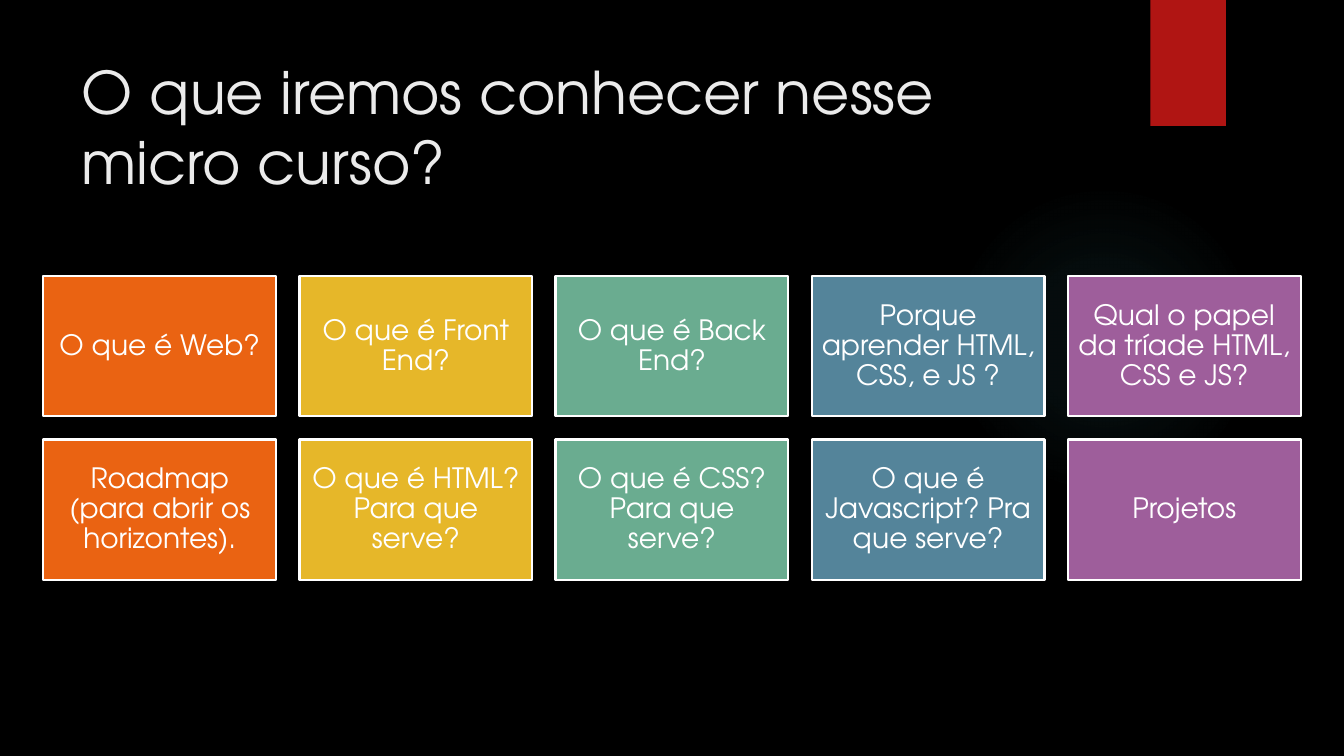
import pptx
import pptx.dml.color
import pptx.enum.shapes
import pptx.enum.text
import pptx.oxml
import pptx.oxml.ns
import pptx.util
from pptx.util import Inches

FONT = "TeX Gyre Adventor"
TILE_COLOURS = ["EA6312", "E6B729", "6AAC90", "54849A", "9E5E9B"]
TOPICS = [
    "O que é Web?",
    "O que é Front End?",
    "O que é Back End?",
    "Porque aprender HTML, CSS, e JS ?",
    "Qual o papel da tríade HTML, CSS e JS?",
    "Roadmap (para abrir os horizontes).",
    "O que é HTML? Para que serve?",
    "O que é CSS? Para que serve?",
    "O que é Javascript? Pra que serve?",
    "Projetos",
]


def colour(value):
    return pptx.dml.color.RGBColor.from_string(value)


def write_text(shape, text, *, size, ink, align, anchor, inset, spacing=None):
    frame = shape.text_frame
    frame.word_wrap = True
    frame.auto_size = pptx.enum.text.MSO_AUTO_SIZE.NONE
    frame.vertical_anchor = anchor
    frame.margin_left = frame.margin_right = Inches(inset[0])
    frame.margin_top = frame.margin_bottom = Inches(inset[1])
    para = frame.paragraphs[0]
    para.alignment = align
    para.line_spacing = spacing
    span = para.add_run()
    span.text = text
    span.font.name = FONT
    span.font.size = pptx.util.Pt(size)
    span.font.color.rgb = colour(ink)


class SlideBuilder:
    def __init__(self, slide, font_ink="FFFFFF"):
        self.slide = slide
        self.font_ink = font_ink

    def background(self, fill):
        self.slide.background.fill.solid()
        self.slide.background.fill.fore_color.rgb = colour(fill)

    def title(self, text, left, top, width, height):
        box = self.slide.shapes.title
        box.left, box.top = Inches(left), Inches(top)
        box.width, box.height = Inches(width), Inches(height)
        write_text(box, text, size=42, ink="EBEBEB",
                   align=pptx.enum.text.PP_ALIGN.LEFT,
                   anchor=pptx.enum.text.MSO_ANCHOR.TOP, inset=(0.1, 0.05))

    def shape(self, kind, left, top, width, height, fill=None):
        shape = self.slide.shapes.add_shape(
            kind, Inches(left), Inches(top), Inches(width), Inches(height))
        shape.shadow.inherit = False
        shape.line.fill.background()
        if fill:
            shape.fill.solid()
            shape.fill.fore_color.rgb = colour(fill)
        return shape

    def rectangle(self, left, top, width, height, fill):
        kind = pptx.enum.shapes.MSO_SHAPE.RECTANGLE
        return self.shape(kind, left, top, width, height, fill)

    def glow(self, left, top, diameter, tint, stops):
        kind = pptx.enum.shapes.MSO_SHAPE.OVAL
        shape = self.shape(kind, left, top, diameter, diameter)
        shape.fill.gradient()
        stop_xml = "".join(
            f'<a:gs pos="{position * 1000}"><a:srgbClr val="{tint}">'
            f'<a:alpha val="{alpha * 1000}"/></a:srgbClr></a:gs>'
            for position, alpha in stops)
        radial = pptx.oxml.parse_xml(
            f'<a:gradFill {pptx.oxml.ns.nsdecls("a")}><a:gsLst>{stop_xml}</a:gsLst>'
            '<a:path path="circle"><a:fillToRect l="50000" t="50000" '
            'r="50000" b="50000"/></a:path></a:gradFill>')
        properties = shape.element.spPr
        properties.replace(
            properties.find(pptx.oxml.ns.qn("a:gradFill")), radial)

    def tile(self, text, left, top, width, height, fill):
        box = self.rectangle(left, top, width, height, fill)
        box.line.color.rgb = colour("FFFFFF")
        box.line.width = pptx.util.Pt(1.5)
        write_text(box, text, size=20, ink=self.font_ink,
                   align=pptx.enum.text.PP_ALIGN.CENTER,
                   anchor=pptx.enum.text.MSO_ANCHOR.MIDDLE,
                   inset=(0.08, 0.08), spacing=0.9)


def main():
    deck = pptx.Presentation()
    deck.slide_width, deck.slide_height = Inches(13.33), Inches(7.5)
    builder = SlideBuilder(deck.slides.add_slide(deck.slide_layouts[5]))

    # Backdrop and red tab
    builder.background("000000")
    builder.glow(9.41, 1.83, 3.08, "50B9C1", [(0, 7), (36, 6), (69, 0)])
    builder.rectangle(11.41, 0, 0.75, 1.25, "B01513")

    # Title
    builder.title("O que iremos conhecer nesse micro curso?", 0.71, 0.5, 10.29, 1.53)

    # Topic grid, one colour per column
    for index, topic in enumerate(TOPICS):
        row, column = divmod(index, len(TILE_COLOURS))
        builder.tile(topic, 0.43 + 2.54 * column, 2.74 + 1.62 * row,
                     2.31, 1.39, TILE_COLOURS[column])

    deck.save("out.pptx")


if __name__ == "__main__":
    main()
